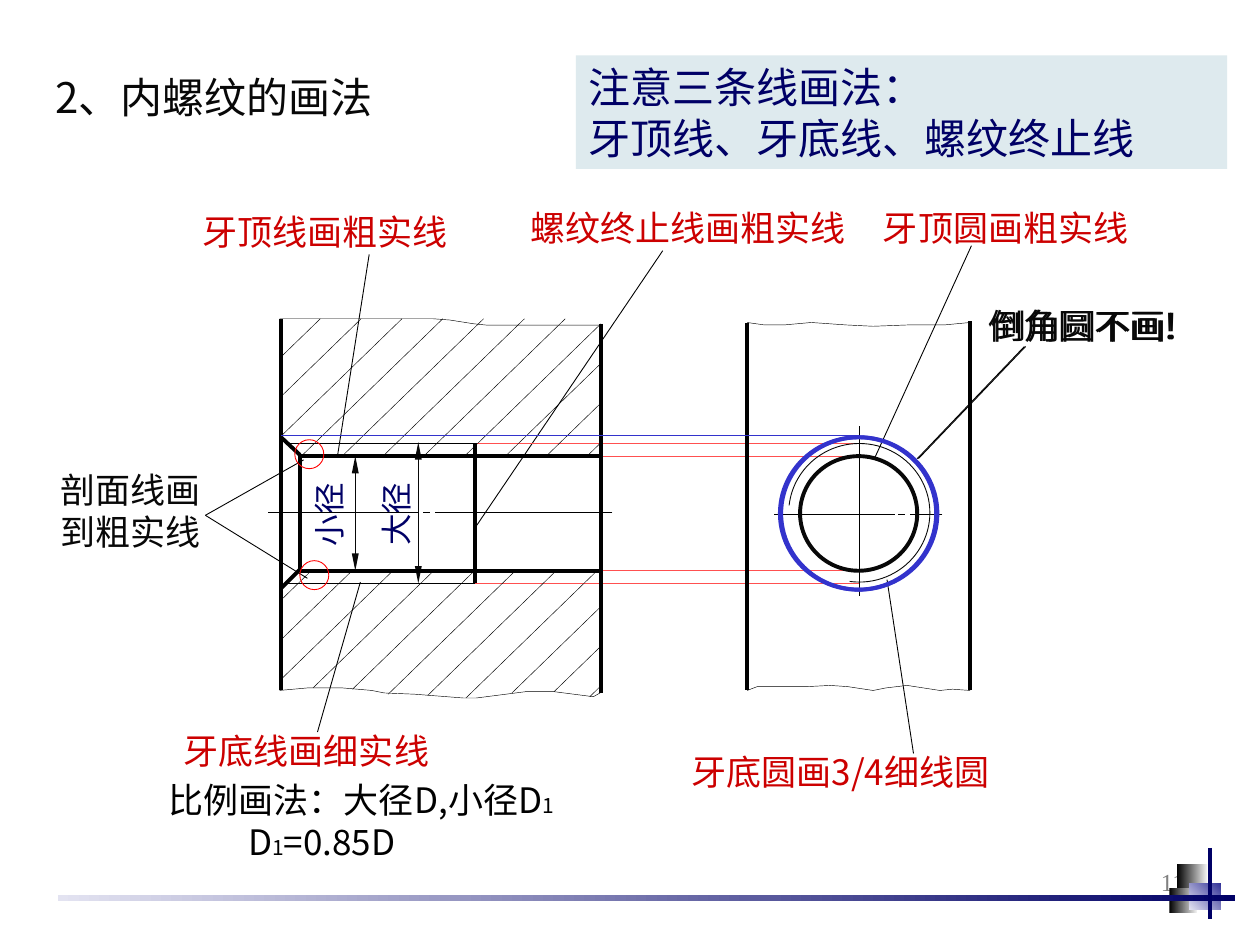
from dataclasses import dataclass
from typing import Optional

from lxml import etree
from pptx import Presentation
from pptx.dml.color import RGBColor
from pptx.enum.shapes import MSO_CONNECTOR, MSO_SHAPE
from pptx.enum.text import PP_ALIGN
from pptx.oxml.ns import qn
from pptx.util import Cm, Pt

COLORS = {
    "black": "000000", "ink": "080808", "navy": "000066", "red": "CC0000",
    "bright red": "FF0000", "projection": "FF5050", "chamfer": "3333CC",
    "panel": "DEEAEE", "gray": "808080", "mist": "F2F2F2",
    "indigo": "333399", "lilac": "E3E3F1",
}
CJK = "Noto Sans CJK SC"
THICK, THIN, HAIR = 2.25, 0.5, 0.25
LEFT_FACE, RIGHT_FACE = 2.23, 4.77      # section view
PLATE_LEFT, PLATE_RIGHT = 5.93, 7.7     # end view
AXIS_X = 6.82


@dataclass
class Stroke:
    """Lines that share a colour and a width; ends are x1, y1, x2, y2 in inches."""
    color: str
    width: float
    ends: list[tuple[float, float, float, float]]
    arrows: bool = False


@dataclass
class Label:
    """A text with its box in inches; a line is a list of (text, size) runs."""
    lines: list[list[tuple[str, float]]]
    box: tuple[float, float, float, float]
    color: str = "red"
    font: str = CJK
    rotation: float = 0
    align: Optional[PP_ALIGN] = None
    last_indent: float = 0


def length(inches: float) -> Cm:
    return Cm(inches * 2.54)


def rgb(name: str) -> RGBColor:
    return RGBColor.from_string(COLORS[name])


def draw_stroke(shapes, stroke: Stroke) -> None:
    for ends in stroke.ends:
        line = shapes.add_connector(MSO_CONNECTOR.STRAIGHT, *map(length, ends))
        line.line.color.rgb = rgb(stroke.color)
        line.line.width = Pt(stroke.width)
        properties = line._element.spPr
        if stroke.arrows:
            for end in ("a:headEnd", "a:tailEnd"):
                etree.SubElement(properties.find(qn("a:ln")), qn(end),
                                 type="triangle", w="sm", len="lg")
        etree.SubElement(properties, qn("a:effectLst"))


def draw_outline(shapes, kind, box, color: str, width: float):
    outline = shapes.add_shape(kind, *map(length, box))
    outline.shadow.inherit = False
    outline.fill.background()
    outline.line.color.rgb = rgb(color)
    outline.line.width = Pt(width)
    return outline


def draw_wave(shapes, points: list[tuple[float, float]]) -> None:
    """Break line through the given points."""
    emu = [(length(x), length(y)) for x, y in points]
    builder = shapes.build_freeform(*emu[0])
    builder.add_line_segments(emu[1:], close=False)
    wave = builder.convert_to_shape()
    wave.shadow.inherit = False
    wave.fill.background()
    wave.line.color.rgb = rgb("black")
    wave.line.width = Pt(HAIR)


def draw_gradient(shapes, box, start: str, end: str, angle: float = 0) -> None:
    block = shapes.add_shape(MSO_SHAPE.RECTANGLE, *map(length, box))
    block.shadow.inherit = False
    block.line.fill.background()
    block.fill.gradient()
    block.fill.gradient_angle = angle
    for stop, color in zip(block.fill.gradient_stops, (start, end)):
        stop.color.rgb = rgb(color)


def draw_label(shapes, label: Label):
    box = shapes.add_textbox(*map(length, label.box))
    box.rotation = label.rotation
    frame = box.text_frame
    frame.word_wrap = True
    for number, runs in enumerate(label.lines):
        paragraph = frame.add_paragraph() if number else frame.paragraphs[0]
        if number and label.last_indent:
            paragraph._p.get_or_add_pPr().set("marL", str(length(label.last_indent)))
        if label.align is not None:
            paragraph.alignment = label.align
        paragraph.font.name = label.font
        paragraph.font.color.rgb = rgb(label.color)
        paragraph.font.size = Pt(runs[0][1])
        for text, size in runs:
            run = paragraph.add_run()
            run.text = text
            if size != runs[0][1]:
                run.font.size = Pt(size)
            etree.SubElement(run._r.get_or_add_rPr(), qn("a:ea"), typeface=label.font)
    return box


def hatch(first_x: float, edge_y: float, tops, bottoms) -> Stroke:
    """Slanted lines, evenly spaced along edge_y and cut off at both faces."""
    run, step = 1.03, 0.324
    ends = []
    for number, (top, bottom) in enumerate(zip(tops, bottoms)):
        x = first_x + number * step
        low = min(bottom, edge_y - (LEFT_FACE - x) / run)
        high = max(top, edge_y - (RIGHT_FACE - x) / run)
        ends.append((x + (edge_y - low) * run, low, x + (edge_y - high) * run, high))
    return Stroke("black", HAIR, ends)


WAVES = [
    [(2.22, 2.53), (2.72, 2.53), (3.44, 2.53), (3.57, 2.54), (3.76, 2.57),
     (3.86, 2.58), (4.78, 2.58)],
    [(2.22, 5.48), (2.44, 5.46), (2.72, 5.46), (2.95, 5.48), (3.05, 5.5), (3.29, 5.51),
     (3.68, 5.54), (3.78, 5.54), (4.17, 5.49), (4.4, 5.49), (4.71, 5.53), (4.78, 5.49)],
    [(5.93, 2.56), (6.07, 2.58), (6.22, 2.58), (6.44, 2.56), (6.72, 2.58),
     (6.93, 2.59), (7.2, 2.58), (7.49, 2.58), (7.7, 2.56)],
    [(5.93, 5.48), (6.01, 5.45), (6.4, 5.45), (6.59, 5.44), (6.73, 5.45), (6.93, 5.48),
     (7.03, 5.46), (7.2, 5.44), (7.46, 5.48), (7.56, 5.47), (7.7, 5.48)],
]
STROKES = [
    # Leaders
    Stroke("black", THIN, [
        (2.86, 4.62, 2.52, 5.81), (7.04, 4.6, 7.25, 5.98), (3.77, 4.19, 5.26, 1.99),
        (6.94, 3.64, 7.71, 1.95), (2.93, 2.02, 2.68, 3.61),
        (2.44, 4.59, 1.63, 4.09), (1.63, 4.09, 2.41, 3.65)]),
    # Diameter dimensions
    Stroke("ink", THIN, [(2.82, 4.53, 2.82, 3.62), (3.32, 4.63, 3.32, 3.51)], arrows=True),
    # Centre lines
    Stroke("black", THIN, [
        (4.86, 4.07, 3.45, 4.07), (3.41, 4.07, 3.36, 4.07), (3.32, 4.07, 2.13, 4.07),
        (7.48, 4.08, 7.22, 4.08), (7.18, 4.08, 7.13, 4.08), (7.1, 4.08, 6.14, 4.08),
        (AXIS_X, 4.73, AXIS_X, 3.38)]),
    # Thread roots, then projections to the end view
    Stroke("black", THIN, [(2.27, y, 3.77, y) for y in (3.52, 4.63)]),
    Stroke("projection", THIN, [
        (x, y, AXIS_X, y)
        for x, y in ((3.77, 3.52), (3.77, 4.63), (RIGHT_FACE, 3.62), (RIGHT_FACE, 4.53))]),
    # Section lining above and below the hole
    hatch(1.43, 3.61, [2.53] * 7 + [2.57] * 4, [3.61] * 11),
    hatch(2.48 - 0.01, 4.53, [4.53] * 11,
          [5.46, 5.46, 5.46, 5.46, 5.47, 5.51, 5.52, 5.54, 5.5, 5.49, 5.53]),
    # Faces, thread crests, chamfer and thread end
    Stroke("black", THICK, [
        (LEFT_FACE, 2.53, LEFT_FACE, 5.48), (RIGHT_FACE, 2.57, RIGHT_FACE, 5.5),
        (PLATE_LEFT, 2.56, PLATE_LEFT, 5.48), (PLATE_RIGHT, 2.55, PLATE_RIGHT, 5.48),
        (2.38, 4.53, RIGHT_FACE, 4.53), (2.38, 3.62, RIGHT_FACE, 3.62),
        (2.38, 4.53, 2.38, 3.61), (2.38, 3.61, LEFT_FACE, 3.47),
        (2.38, 4.52, LEFT_FACE, 4.67), (3.77, 3.52, 3.77, 4.63)]),
]
LABELS = [
    Label([[("2、内螺纹的画法", 24)]], (0.34, 0.52, 4.11, 0.5), "ink"),
    Label([[("比例画法：大径D,小径D", 20), ("1", 12)],
           [("D", 20), ("1", 12), ("=0.85D", 20)]],
          (1.24, 6.13, 3.62, 0.77), "black", last_indent=0.63),
    Label([[("小径", 18)]], (2.2, 3.79, 0.86, 0.43), "navy", rotation=270),
    Label([[("大径", 18)]], (2.76, 3.85, 0.76, 0.4), "navy", rotation=270),
    Label([[("牙底线画细实线", 20)]], (1.36, 5.74, 2.77, 0.43)),
    Label([[("牙底圆画3/4细线圆", 20)]], (5.39, 5.91, 3.26, 0.43)),
    Label([[("螺纹终止线画粗实线", 20)]], (4.11, 1.59, 2.78, 0.43)),
    Label([[("牙顶圆画粗实线", 20)]], (6.91, 1.59, 2.74, 0.43)),
    Label([[("牙顶线画粗实线", 20)]], (1.51, 1.62, 2.59, 0.43)),
    Label([[("剖面线画", 20)], [("到粗实线", 20)]], (0.38, 3.67, 1.44, 0.77), "ink"),
]


def main() -> None:
    deck = Presentation()
    deck.slide_width, deck.slide_height = length(10), length(7.5)
    shapes = deck.slides.add_slide(deck.slide_layouts[6]).shapes

    # Page number and corner ornament
    draw_label(shapes, Label([[("11", 14)]], (7.17, 6.83, 2.33, 0.52), "gray",
                             "Times New Roman", align=PP_ALIGN.RIGHT))
    draw_gradient(shapes, (9.34, 6.86, 0.24, 0.19), "black", "mist")
    draw_gradient(shapes, (9.28, 7.05, 0.22, 0.2), "black", "mist")
    draw_gradient(shapes, (9.44, 7.01, 0.25, 0.21), "indigo", "lilac", 225)
    draw_gradient(shapes, (0.46, 7.1, 9.34, 0.05), "lilac", "navy")
    draw_stroke(shapes, Stroke("navy", THICK, [(9.6, 6.73, 9.6, 7.29)]))

    # Drawing and its labels
    for label in LABELS:
        draw_label(shapes, label)
    for stroke in STROKES:
        draw_stroke(shapes, stroke)
    for wave in WAVES:
        draw_wave(shapes, wave)
    for left, top in ((2.38, 4.45), (2.34, 3.49)):
        draw_outline(shapes, MSO_SHAPE.OVAL, (left, top, 0.23, 0.23), "bright red", THIN)

    # Crest circle and three-quarter root circle
    draw_outline(shapes, MSO_SHAPE.OVAL, (6.35, 3.62, 0.93, 0.91), "ink", THICK)
    root = draw_outline(shapes, MSO_SHAPE.ARC, (6.26, 3.52, 1.12, 1.1), "ink", THIN)
    for index, degrees in enumerate((186, 98)):
        root.adjustments[index] = degrees * 0.6

    # Chamfer circle, set twice with a slight offset
    for shift in (0, -0.01):
        draw_label(shapes, Label([[("倒角圆不画!", 20)]], (7.77 + 2 * shift, 2.37, 1.75, 0.43), "ink"))
        draw_outline(shapes, MSO_SHAPE.OVAL, (6.2 + shift, 3.47, 1.24, 1.21), "chamfer", THICK)
        draw_stroke(shapes, Stroke("black", THIN, [(7.29 + shift, 3.64, 8.14 + shift, 2.75)]))
        draw_stroke(shapes, Stroke("chamfer", THIN, [(2.24 + shift, 3.46, AXIS_X + shift, 3.46)]))

    # Reminder panel
    reminder = draw_label(shapes, Label(
        [[("注意三条线画法：", 24)], [("牙顶线、牙底线、螺纹终止线", 24)]],
        (4.57, 0.44, 5.17, 0.9), "navy"))
    reminder.fill.solid()
    reminder.fill.fore_color.rgb = rgb("panel")
    deck.save("out.pptx")


if __name__ == "__main__":
    main()
